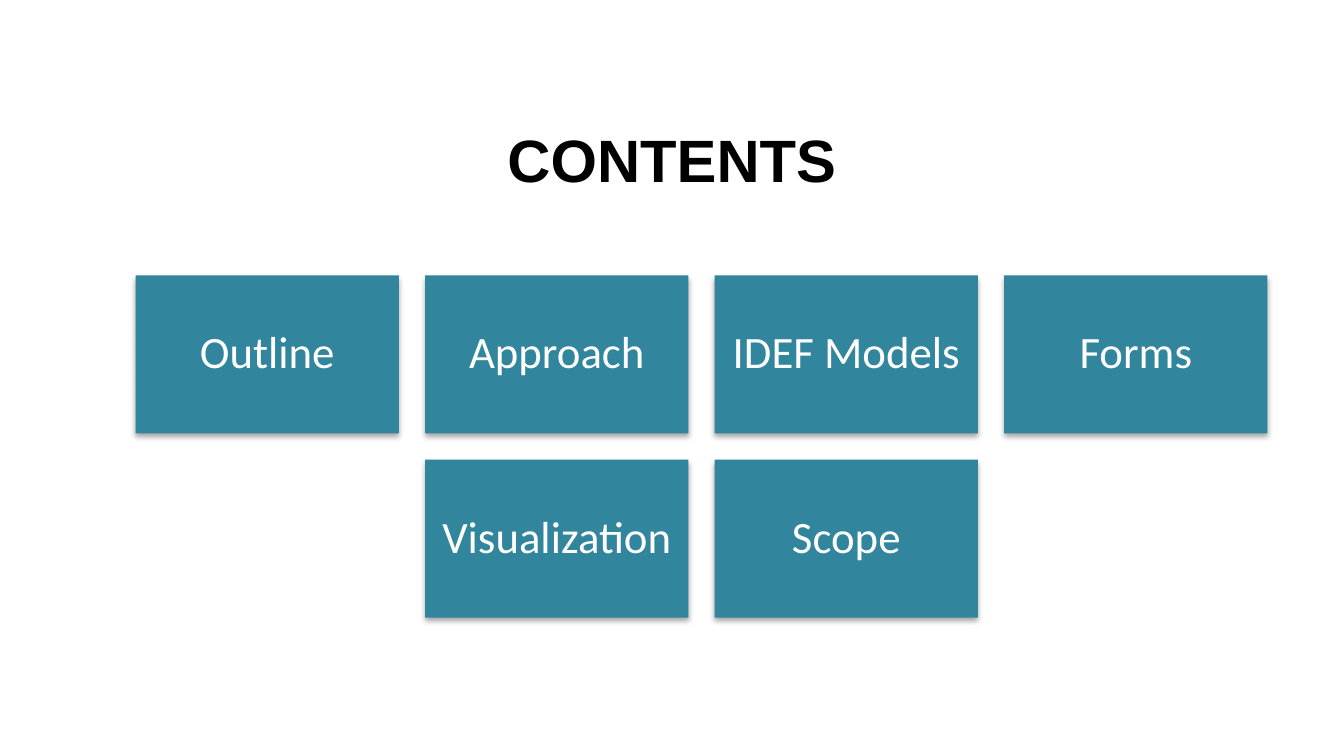
from dataclasses import dataclass

from lxml import etree
from pptx import Presentation, util as u
from pptx.dml.color import RGBColor
from pptx.enum import shapes, text
from pptx.oxml.ns import qn

COLORS = {"tile": "31859C", "label": "FFFFFF", "title": "000000", "shade": "000000"}

# Widescreen page
WIDE = 10
HIGH = WIDE * 9 / 16

# Grid: four columns with gaps of a tenth of a tile
LEFT, TOP, SPAN, COLS = 1.01, 2.05, 8.42, 4
TILE_W = SPAN / (COLS + 0.1 * (COLS - 1))
TILE_H = 0.6 * TILE_W
GAP = 0.1 * TILE_W


@dataclass
class Tile:
    label: str
    col: int
    row: int


TILES = [
    Tile("Outline", 0, 0),
    Tile("Approach", 1, 0),
    Tile("IDEF Models", 2, 0),
    Tile("Forms", 3, 0),
    Tile("Visualization", 1, 1),
    Tile("Scope", 2, 1),
]


def color(name: str) -> RGBColor:
    return RGBColor.from_string(COLORS[name])


def style(par, face: str, size: float, hue: str, bold: bool = False) -> None:
    par.alignment = text.PP_ALIGN.CENTER
    font = par.font
    font.name, font.size, font.bold = face, u.Pt(size), bold
    font.color.rgb = color(hue)


def add_shade(shape) -> None:
    """Give the shape a soft shadow straight below it."""
    shape.shadow.inherit = False
    effects = shape._element.spPr.find(qn("a:effectLst"))
    outer = etree.SubElement(
        effects, qn("a:outerShdw"), blurRad=str(u.Pt(3.1)), dist=str(u.Pt(1.8)),
        dir=str(90 * 60000), rotWithShape="0")
    hue = etree.SubElement(outer, qn("a:srgbClr"), val=COLORS["shade"])
    etree.SubElement(hue, qn("a:alpha"), val="35000")


def add_tile(slide, tile: Tile) -> None:
    left = LEFT + tile.col * (TILE_W + GAP)
    top = TOP + tile.row * (TILE_H + GAP)
    box = slide.shapes.add_shape(
        shapes.MSO_SHAPE.RECTANGLE,
        u.Inches(left), u.Inches(top), u.Inches(TILE_W), u.Inches(TILE_H))
    box.fill.solid()
    box.fill.fore_color.rgb = color("tile")
    box.line.fill.background()
    add_shade(box)

    frame = box.text_frame
    frame.word_wrap = True
    frame.vertical_anchor = text.MSO_ANCHOR.MIDDLE
    frame.margin_left = frame.margin_right = u.Inches(0.1)
    frame.margin_top = frame.margin_bottom = u.Inches(0.1)
    par = frame.paragraphs[0]
    par.text = tile.label
    par.line_spacing = 0.9
    style(par, "Calibri", 24, "label")


def add_title(slide, words: str) -> None:
    title = slide.shapes.title
    title.left, title.top = u.Inches(0.05 * WIDE), u.Inches(0.74)
    title.width, title.height = u.Inches(0.9 * WIDE), u.Inches(0.88)
    frame = title.text_frame
    frame.text = words
    frame.vertical_anchor = text.MSO_ANCHOR.MIDDLE
    style(frame.paragraphs[0], "Arial", 32, "title", bold=True)


def main() -> None:
    deck = Presentation()
    deck.slide_width, deck.slide_height = u.Inches(WIDE), u.Inches(HIGH)
    slide = deck.slides.add_slide(deck.slide_layouts[5])

    # Heading
    add_title(slide, "CONTENTS")

    # Topic tiles
    for tile in TILES:
        add_tile(slide, tile)

    deck.save("out.pptx")


if __name__ == "__main__":
    main()
